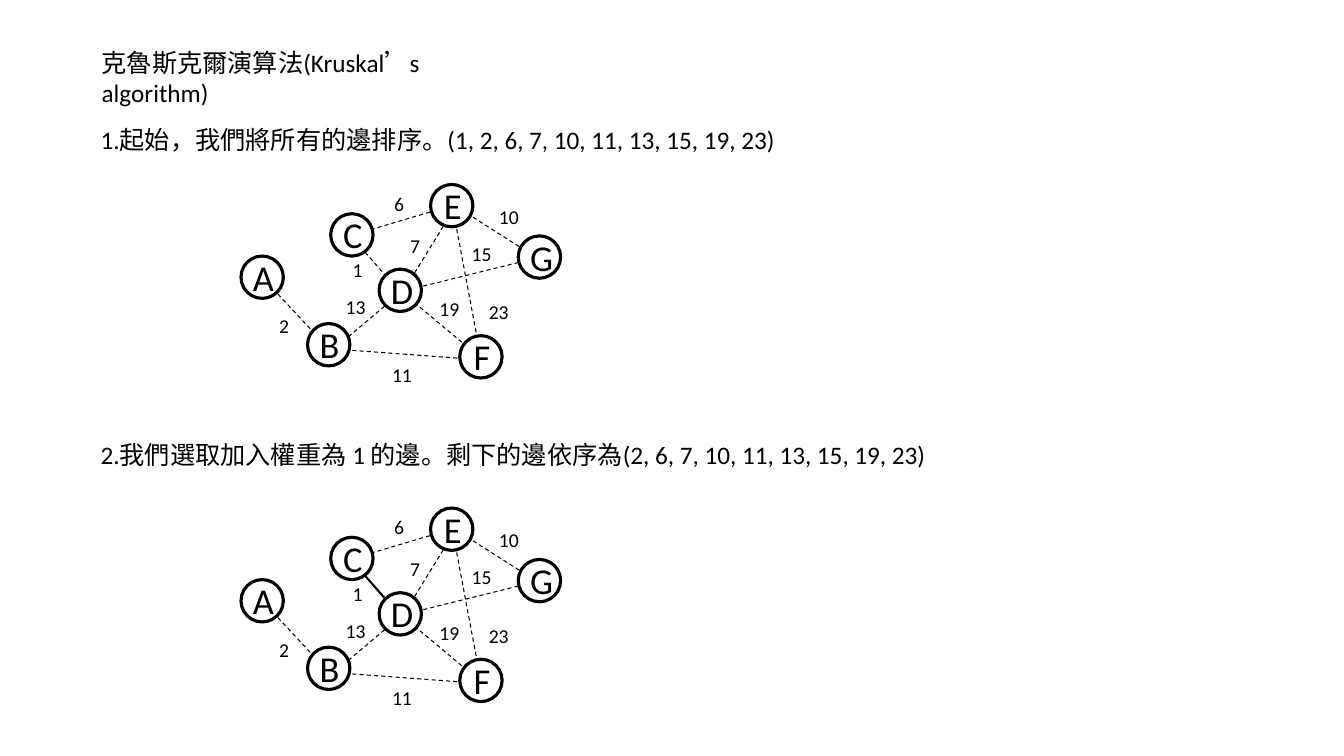
from dataclasses import dataclass

import pptx
import pptx.dml.color
import pptx.enum.dml
import pptx.enum.shapes
import pptx.enum.text
import pptx.oxml
import pptx.util
from pptx.util import Inches


@dataclass(frozen=True)
class Theme:
    font: str = "Calibri"
    ink: pptx.dml.color.RGBColor = pptx.dml.color.RGBColor(0, 0, 0)
    paper: pptx.dml.color.RGBColor = pptx.dml.color.RGBColor(255, 255, 255)
    step_size: int = 18
    vertex_size: int = 26
    weight_size: int = 14
    edge_width: float = 0.75
    chosen_width: float = 1.5
    vertex_width: float = 2.25


# The graph, placed as in step 1: top-left corner of each vertex circle
DIAMETER = 0.42
VERTICES = {
    "A": (2.39, 2.54), "F": (4.56, 3.33), "B": (3.05, 3.21), "D": (3.76, 2.67),
    "G": (5.14, 2.34), "C": (3.28, 2.12), "E": (4.27, 1.83),
}

# Weight of each edge: start, end, label corner, label width
EDGES = {
    2: ((2.61, 2.76), (3.28, 3.48), (2.67, 3.07), 0.43),
    1: ((3.48, 2.34), (3.96, 2.89), (3.4, 2.51), 0.3),
    23: ((4.49, 2.06), (4.77, 3.55), (4.75, 2.93), 0.96),
    15: ((3.99, 2.89), (5.36, 2.55), (4.58, 2.35), 0.96),
    11: ((3.28, 3.46), (4.77, 3.57), (3.79, 3.55), 0.96),
    13: ((3.29, 3.48), (3.99, 2.89), (3.33, 2.88), 0.96),
    6: ((3.47, 2.34), (4.48, 2.04), (3.81, 1.85), 0.96),
    10: ((4.51, 2.04), (5.36, 2.58), (4.85, 1.98), 0.96),
    7: ((4, 2.89), (4.51, 2.06), (3.97, 2.27), 0.96),
    19: ((4, 2.91), (4.79, 3.57), (4.26, 2.9), 0.41),
}
STEP_PITCH = 3.21


class GraphSlide:
    def __init__(self, slide, theme):
        self.shapes = slide.shapes
        self.theme = theme

    def text(self, words, left, top, width, height, size, centred=False):
        box = self.shapes.add_textbox(
            Inches(left), Inches(top), Inches(width), Inches(height))
        frame = box.text_frame
        frame.word_wrap = not centred
        frame.auto_size = pptx.enum.text.MSO_AUTO_SIZE.SHAPE_TO_FIT_TEXT
        paragraph = frame.paragraphs[0]
        paragraph.text = words
        if centred:
            paragraph.alignment = pptx.enum.text.PP_ALIGN.CENTER
        paragraph.font.name = self.theme.font
        paragraph.font.size = pptx.util.Pt(size)
        paragraph.font.color.rgb = self.theme.ink

    def edge(self, start, end, chosen):
        edge = self.shapes.add_connector(
            pptx.enum.shapes.MSO_CONNECTOR.STRAIGHT,
            *(Inches(length) for length in (*start, *end)))
        edge.line.color.rgb = self.theme.ink
        edge.line.width = pptx.util.Pt(
            self.theme.chosen_width if chosen else self.theme.edge_width)
        if not chosen:
            edge.line.dash_style = pptx.enum.dml.MSO_LINE.DASH
        properties = edge.line._get_or_add_ln().getparent()
        properties.append(pptx.oxml.parse_xml(
            '<a:effectLst xmlns:a='
            '"http://schemas.openxmlformats.org/drawingml/2006/main"/>'))

    def circle(self, left, top):
        circle = self.shapes.add_shape(
            pptx.enum.shapes.MSO_SHAPE.OVAL, Inches(left), Inches(top),
            Inches(DIAMETER), Inches(DIAMETER))
        circle.shadow.inherit = False
        circle.fill.solid()
        circle.fill.fore_color.rgb = self.theme.paper
        circle.line.color.rgb = self.theme.ink
        circle.line.width = pptx.util.Pt(self.theme.vertex_width)

    def graph(self, drop, chosen_weights):
        # Edges lie under the vertices, letters and weights on top
        for weight, (start, end, _, _) in EDGES.items():
            self.edge((start[0], start[1] + drop), (end[0], end[1] + drop),
                      weight in chosen_weights)
        for left, top in VERTICES.values():
            self.circle(left, top + drop)
        for name, (left, top) in VERTICES.items():
            self.text(name, left + 0.02, top + drop - 0.06, 0.4, 0.54,
                      self.theme.vertex_size, centred=True)
        for weight, (_, _, (left, top), width) in EDGES.items():
            self.text(str(weight), left, top + drop, width, 0.34,
                      self.theme.weight_size)


def main():
    presentation = pptx.Presentation()
    presentation.slide_width = Inches(13.33)
    presentation.slide_height = Inches(7.5)
    theme = Theme()
    page = GraphSlide(
        presentation.slides.add_slide(presentation.slide_layouts[6]), theme)

    # Title
    page.text("克魯斯克爾演算法(Kruskal’s algorithm)",
              0.91, 0.42, 4.38, 0.4, theme.step_size)

    # Steps: caption, caption top, weights chosen so far
    steps = [
        ("1.起始，我們將所有的邊排序。(1, 2, 6, 7, 10, 11, 13, 15, 19, 23)",
         1.18, ()),
        ("2.我們選取加入權重為 1 的邊。剩下的邊依序為"
         "(2, 6, 7, 10, 11, 13, 15, 19, 23)", 4.31, (1,)),
    ]
    for index, (caption, top, chosen_weights) in enumerate(steps):
        page.text(caption, 0.9, top, 9.03, 0.4, theme.step_size)
        page.graph(index * STEP_PITCH, chosen_weights)

    presentation.save("out.pptx")


if __name__ == "__main__":
    main()
